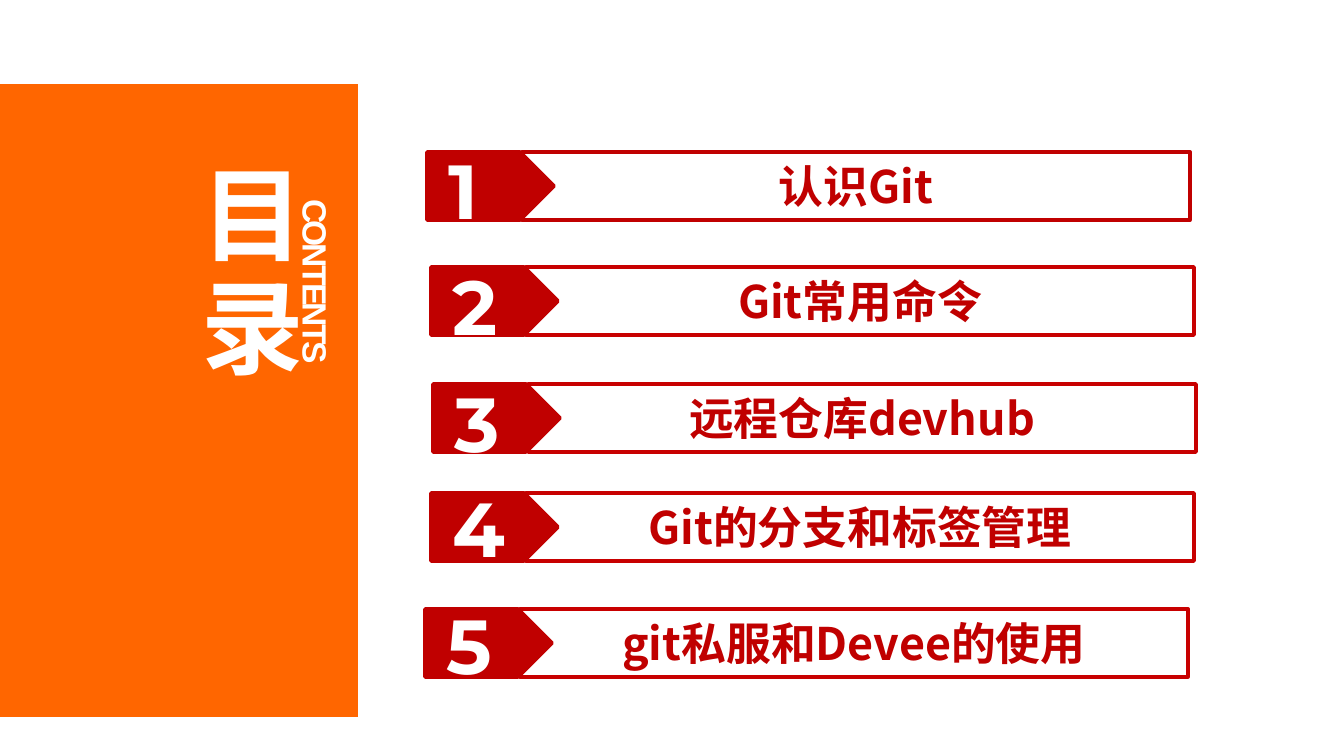
"""Build a contents slide with an orange title panel and five numbered topics."""
from lxml import etree
from pptx import Presentation
from pptx.dml.color import RGBColor
from pptx.enum.shapes import MSO_SHAPE
from pptx.enum.text import MSO_ANCHOR, PP_ALIGN
from pptx.oxml.ns import qn
from pptx.util import Pt

PX = 914400 / 134.4
RECT, PLATE = MSO_SHAPE.RECTANGLE, MSO_SHAPE.PENTAGON
TOP, MIDDLE = MSO_ANCHOR.TOP, MSO_ANCHOR.MIDDLE
LEFT, CENTER = PP_ALIGN.LEFT, PP_ALIGN.CENTER
ORANGE = RGBColor(0xFF, 0x66, 0x00)
RED = RGBColor(0xC0, 0x00, 0x00)
FRAME_RED = RGBColor(0xC8, 0x00, 0x00)
WHITE = RGBColor(0xFF, 0xFF, 0xFF)
CJK = "Noto Sans CJK SC"


def add_box(kind, box, fill, line=None):
    sp = slide.shapes.add_shape(kind, *[round(v * PX) for v in box])
    sp.shadow.inherit = False
    sp.fill.solid()
    sp.fill.fore_color.rgb = fill
    if line is None:
        sp.line.fill.background()
    else:
        sp.line.color.rgb = line
        sp.line.width = Pt(2)
    return sp


def set_text(sp, text, size, font, color, align=LEFT, anchor=TOP, wrap=False, vert=None, spacing=None):
    tf = sp.text_frame
    tf.text = text
    tf.word_wrap = wrap
    tf.vertical_anchor = anchor
    p = tf.paragraphs[0]
    p.alignment = align
    r = p.runs[0]
    r.font.size = Pt(size)
    r.font.bold = True
    r.font.name = font
    r.font.color.rgb = color
    rPr = r.font._element
    etree.SubElement(rPr, qn("a:ea")).set("typeface", font)
    if spacing:
        rPr.set("spc", str(round(spacing * 100)))
    if vert:
        tf._txBody.bodyPr.set("vert", vert)


prs = Presentation()
prs.slide_width = round(1344 * PX)
prs.slide_height = round(756 * PX)
slide = prs.slides.add_slide(prs.slide_layouts[5])

add_box(RECT, (0, 84, 358, 633), ORANGE)

title = slide.shapes.title
title.left, title.top, title.width, title.height = [round(v * PX) for v in (172, 156, 152, 243)]
set_text(title, "目录", 55, CJK, WHITE, vert="eaVert", spacing=6)
slide.shapes._spTree.append(title._element)

subtitle = slide.shapes.add_textbox(*[round(v * PX) for v in (276, 186, 67, 177)])
set_text(subtitle, "CONTENTS", 18, "Arial", WHITE, vert="eaVert", spacing=-1.5)

topics = [
    (427, 152, 136, "认识Git"),
    (431, 267, 252, "Git常用命令"),
    (433, 384, 369, "远程仓库devhub"),
    (431, 493, 474, "Git的分支和标签管理"),
    (425, 609, 591, "git私服和Devee的使用"),
]
for i, (x, y, number_y, topic) in enumerate(topics, 1):
    frame = add_box(RECT, (x + 95, y, 668, 68), WHITE, RED if i == 1 else FRAME_RED)
    set_text(frame, topic, 24, CJK, RED, CENTER, MIDDLE, wrap=True)
    add_box(PLATE, (x, y, 127, 68), RED, RED)
    number = slide.shapes.add_textbox(*[round(v * PX) for v in (x + 8, number_y, 79, 106)])
    set_text(number, str(i), 41, "Montserrat", WHITE)

prs.save("out.pptx")
